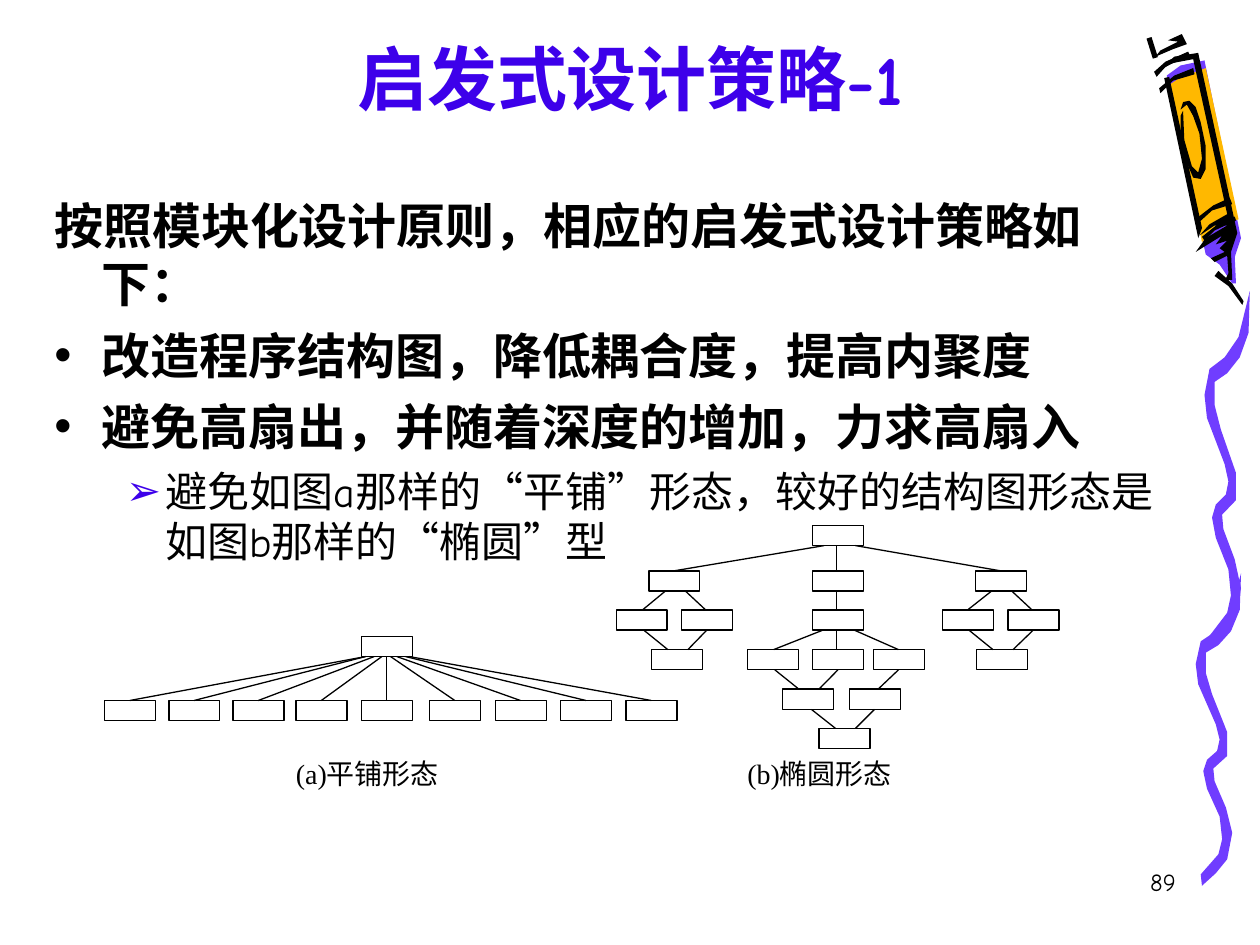
import dataclasses
import math

import pptx
import pptx.dml.color
import pptx.enum.shapes
import pptx.enum.text
import pptx.oxml.xmlchemy
import pptx.util

Pt = pptx.util.Pt
Align = pptx.enum.text.PP_ALIGN

@dataclasses.dataclass(frozen=True)
class Theme:
    accent: str = "3D00EA"
    violet: str = "703DFF"
    yellow: str = "FFB800"
    ink: str = "000000"
    paper: str = "FFFFFF"
    font: str = "Comic Neue"
    quote_font: str = "Arial"
    caption_font: str = "Times New Roman"
    title_size: int = 40
    point_size: int = 28
    detail_size: int = 24
    caption_size: int = 16
    number_size: int = 14

THEME = Theme()
ART_UNIT = Pt(0.72)
ART_LEFT = Pt(648)
CRAYON_TURN = 307.1
BOX_WIDTH, BOX_HEIGHT = 29.1, 11.6

RIBBON = [
    (4, 239), (18, 223), (21, 211), (19, 193), (9, 171), (6, 157), (9, 148), (17, 141), (19, 132),
    (16, 120), (2, 88), (0, 72), (4, 54), (16, 46), (27, 32), (36, 0), (35, 29), (28, 46), (18, 57),
    (8, 63), (8, 79), (13, 96), (25, 126), (25, 145), (14, 155), (15, 165), (24, 186), (29, 206),
    (25, 227), (16, 238), (5, 248)]
CRAYON = [
    (THEME.paper, [(50, 44), (30, 47), (19, 57), (49, 197), (62, 207), (72, 220), (76, 219),
                   (75, 198), (79, 185)]),
    (THEME.violet, [(26, 60), (57, 202), (68, 210), (78, 225), (81, 225), (80, 204), (85, 189),
                    (56, 48), (37, 52)]),
    (THEME.yellow, [(54, 192), (68, 179), (83, 174), (57, 54), (36, 62), (27, 68)]),
    (THEME.ink, [(64, 219), (75, 227), (86, 242), (87, 239), (78, 225), (67, 215)]),
    (THEME.ink, [(17, 45), (31, 39), (42, 35), (38, 27), (27, 32), (35, 33), (21, 40)]),
    (THEME.ink, [(37, 92), (37, 106), (41, 127), (47, 141), (53, 142), (57, 134), (57, 116),
                 (53, 97), (49, 85), (44, 80), (39, 81), (37, 87), (42, 83), (47, 92), (52, 106),
                 (54, 126), (51, 137), (46, 132), (40, 111), (39, 88)]),
    (THEME.ink, [(24, 62), (51, 189), (54, 181), (28, 61)]),
    (THEME.ink, [(49, 200), (57, 189), (74, 179), (64, 179), (52, 187), (60, 178), (74, 170),
                 (47, 47), (31, 50), (20, 56), (32, 45), (51, 42), (82, 185), (77, 200), (78, 222),
                 (72, 223), (75, 217), (74, 203), (64, 208), (61, 205), (72, 200), (68, 197),
                 (74, 191), (65, 194), (70, 187)]),
    (THEME.ink, [(56, 191), (64, 183), (81, 175), (80, 172), (69, 176), (54, 188)]),
    (THEME.ink, [(51, 177), (62, 167), (78, 162), (76, 157), (63, 163), (50, 173)]),
    (THEME.ink, [(21, 74), (31, 64), (48, 59), (47, 54), (32, 60), (20, 70)]),
    (THEME.ink, [(18, 61), (26, 52), (45, 45), (43, 41), (25, 49), (16, 57)])]

FLAT_TREE = [
    (363.6, [206.6], [(208.8, 74.2), (208.8, 110.9), (213.8, 147.6), (218.2, 183.6), (221, 221),
                      (223.2, 259.9), (226.8, 297.4), (231.8, 334.8), (234, 372.2)]),
    (400.3, [59.8, 96.5, 133.2, 169.2, 206.6, 245.5, 283, 320.4, 357.8], [])]
OVAL_TREE = [
    (300.2, [464.4], [(470.9, 385.2), (478.1, 478.1), (488.9, 571.7)]),
    (326.2, [370.8, 464.4, 557.3],
     [(380.2, 367.2), (391.7, 403.2), (478.1, 478.1), (566.6, 553), (578.2, 589.7)]),
    (348.5, [352.1, 389.5, 464.4, 538.6, 576],
     [(367.9, 381.6), (403.9, 393.1), (470.2, 442.1), (478.1, 478.1), (488.2, 513.4),
      (553.7, 567.4), (590.4, 578.9)]),
    (371.2, [372.2, 427, 464.4, 499, 558], [(442.8, 456.5), (478.8, 468), (513.4, 501.8)]),
    (393.8, [447.1, 485.3], [(463.7, 477.4), (499.7, 488.9)]),
    (416.2, [468], [])]

def color(code):
    return pptx.dml.color.RGBColor.from_string(code)

def add_run(paragraph, words, size, font=THEME.font, ink=THEME.ink, bold=False):
    run = paragraph.add_run()
    run.text = words
    run.font.size, run.font.name, run.font.bold = Pt(size), font, bold
    run.font.color.rgb = color(ink)

def add_frame(slide, *bounds):
    frame = slide.shapes.add_textbox(*map(Pt, bounds)).text_frame
    frame.word_wrap = True
    return frame

def add_label(slide, bounds, words, size, font, alignment):
    paragraph = add_frame(slide, *bounds).paragraphs[0]
    paragraph.alignment = alignment
    add_run(paragraph, words, size, font)

def set_hanging(paragraph, margin, hang, bullet=None, bullet_color=THEME.ink):
    properties = paragraph._p.get_or_add_pPr()
    properties.set("marL", str(Pt(margin)))
    properties.set("indent", str(-Pt(hang)))
    properties.set("hangingPunct", "0")
    if bullet:
        tags = ("a:buClr", "a:buFont", "a:buChar", "a:srgbClr")
        tint, face, mark, rgb = map(pptx.oxml.xmlchemy.OxmlElement, tags)
        rgb.set("val", bullet_color)
        tint.append(rgb)
        face.set("typeface", THEME.quote_font)
        mark.set("char", bullet)
        properties.extend([tint, face, mark])

def turn(point, degrees):
    x, y = point
    cosine, sine = math.cos(math.radians(degrees)), math.sin(math.radians(degrees))
    return x * cosine - y * sine, x * sine + y * cosine

def add_outline(slide, points, fill, rotation=0):
    upright = [turn((x * ART_UNIT, y * ART_UNIT), -rotation) for x, y in points]
    center = [(min(values) + max(values)) / 2 for values in zip(*upright)]
    builder = slide.shapes.build_freeform(*upright[0])
    builder.add_line_segments(upright[1:], close=True)
    outline = builder.convert_to_shape()
    center_x, center_y = turn(center, rotation)
    outline.left = round(ART_LEFT + center_x - outline.width / 2)
    outline.top = round(center_y - outline.height / 2)
    outline.rotation = rotation
    outline.shadow.inherit = False
    outline.fill.solid()
    outline.fill.fore_color.rgb = color(fill)
    outline.line.fill.background()

def add_line(slide, *ends, weight=0.75):
    straight = pptx.enum.shapes.MSO_CONNECTOR.STRAIGHT
    link = slide.shapes.add_connector(straight, *map(Pt, ends))
    link.line.color.rgb = color(THEME.ink)
    link.line.width = Pt(weight)
    link._element.spPr.append(pptx.oxml.xmlchemy.OxmlElement("a:effectLst"))

def add_module(slide, *bounds):
    module = slide.shapes.add_shape(pptx.enum.shapes.MSO_SHAPE.RECTANGLE, *map(Pt, bounds))
    module.shadow.inherit = False
    module.fill.background()
    module.line.color.rgb = color(THEME.ink)
    module.line.width = Pt(0.75)

def add_tree(slide, levels):
    for depth, (top, lefts, links) in enumerate(levels):
        for left in lefts:
            add_module(slide, left, top, BOX_WIDTH, BOX_HEIGHT)
        for start, end in links:
            add_line(slide, start, top + BOX_HEIGHT, end, levels[depth + 1][0])

def add_decoration(slide):
    for left, top, stretch in ((49, 455, 1), (56, 231, 1.145)):
        ribbon = [(left + x, top + y * stretch) for x, y in RIBBON]
        add_outline(slide, ribbon, THEME.violet)
    for fill, points in CRAYON:
        add_outline(slide, points, fill, CRAYON_TURN)
    add_line(slide, 656.6, 21.6, 660.2, 33.1, weight=3)

def set_title(slide, words):
    title = slide.shapes.title
    title.left, title.top, title.width, title.height = map(Pt, (36, 12, 648, 60))
    frame = title.text_frame
    frame.auto_size = pptx.enum.text.MSO_AUTO_SIZE.NONE
    frame.vertical_anchor = pptx.enum.text.MSO_ANCHOR.BOTTOM
    frame.paragraphs[0].alignment = Align.CENTER
    add_run(frame.paragraphs[0], words, THEME.title_size, ink=THEME.accent, bold=True)

def add_strategies(slide):
    frame = add_frame(slide, 24, 108, 642, 216)
    intro = frame.paragraphs[0]
    set_hanging(intro, 27, 27)
    add_run(intro, "按照模块化设计原则，相应的启发式设计策略如下：", THEME.point_size, bold=True)
    for words in ("改造程序结构图，降低耦合度，提高内聚度", "避免高扇出，并随着深度的增加，力求高扇入"):
        strategy = frame.add_paragraph()
        strategy.space_before = Pt(7)
        set_hanging(strategy, 27, 27, "•")
        add_run(strategy, words, THEME.point_size, bold=True)
    detail = frame.add_paragraph()
    detail.level = 1
    detail.space_before = Pt(6)
    set_hanging(detail, 63.4, 22.5, "➢", THEME.accent)
    for words in ("避免如图a那样的", "“", "平铺", "”", "形态，较好的结构图形态是如图b那样的",
                  "“", "椭圆", "”", "型"):
        font = THEME.quote_font if words in "“”" else THEME.font
        add_run(detail, words, THEME.detail_size, font)

def main():
    deck = pptx.Presentation()
    deck.slide_width, deck.slide_height = Pt(720), Pt(540)
    slide = deck.slides.add_slide(deck.slide_layouts[5])
    add_decoration(slide)
    add_label(slide, (529.2, 491.8, 149.8, 36), "89", THEME.number_size, THEME.font, Align.RIGHT)
    set_title(slide, "启发式设计策略-1")
    add_strategies(slide)
    add_tree(slide, FLAT_TREE)
    add_tree(slide, OVAL_TREE)
    for left, words in ((162, "(a)平铺形态"), (420, "(b)椭圆形态")):
        add_label(slide, (left, 428.6, 127.4, 27.4), words,
                  THEME.caption_size, THEME.caption_font, Align.JUSTIFY)
    deck.save("out.pptx")

if __name__ == "__main__":
    main()
